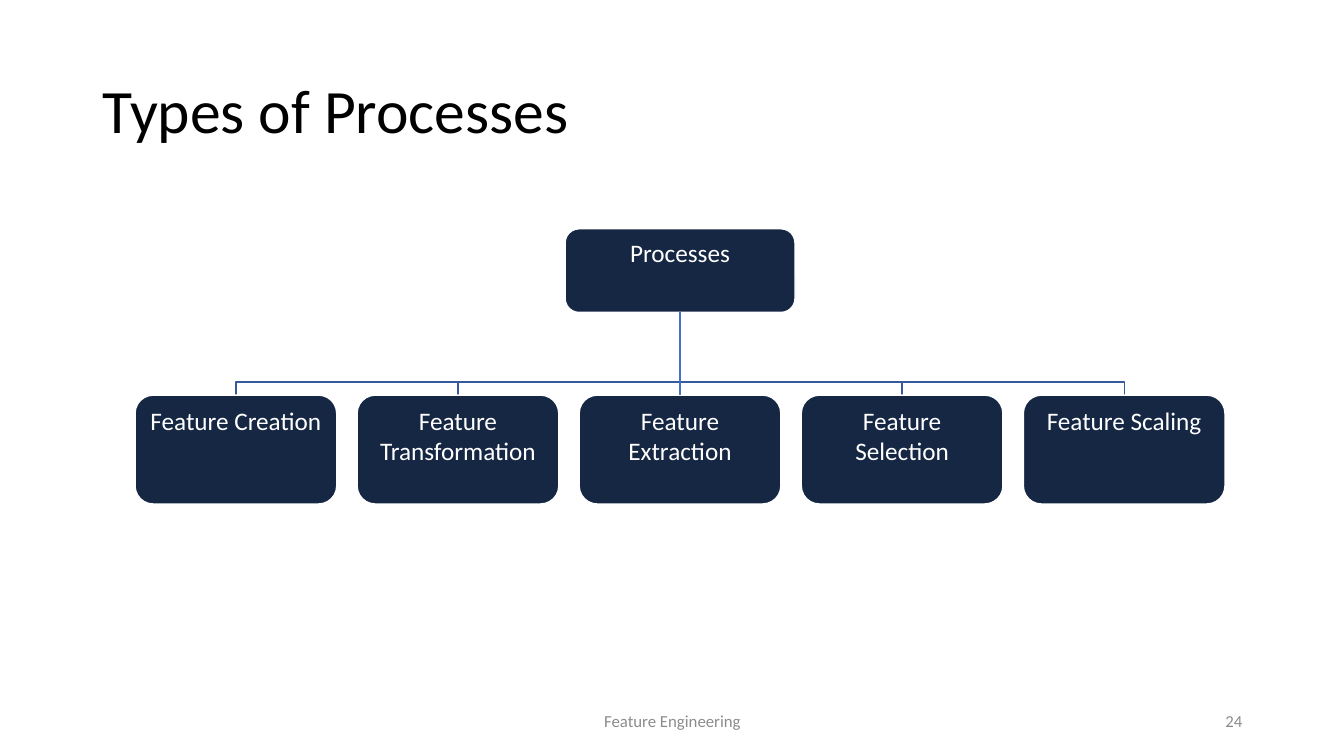
from pptx import Presentation
from pptx import util as u
from pptx.dml.color import RGBColor
from pptx.enum import shapes, text
from pptx.oxml.ns import qn

NAVY, WHITE, BLACK, GRAY = "162743", "FFFFFF", "000000", "8C8C8C"
BRANCH_BLUE, TRUNK_BLUE = "365B9D", "4472C4"
PROCESSES = ["Feature Creation", "Feature Transformation", "Feature Extraction",
             "Feature Selection", "Feature Scaling"]


def color(value):
    return RGBColor.from_string(value)


def write(shape, content, size=18, fill=WHITE, align=text.PP_ALIGN.CENTER,
          anchor=text.MSO_ANCHOR.MIDDLE, spacing=1.0):
    frame = shape.text_frame
    frame.word_wrap = True
    frame.auto_size = text.MSO_AUTO_SIZE.NONE
    frame.vertical_anchor = anchor
    paragraph = frame.paragraphs[0]
    paragraph.text = content
    paragraph.alignment = align
    paragraph.line_spacing = spacing
    paragraph.font.name = "Calibri"
    paragraph.font.size = u.Pt(size)
    paragraph.font.color.rgb = color(fill)


def set_line(shape, value):
    shape.line.color.rgb = color(value)
    shape.line.width = u.Pt(1)


def add_title(slide, left, top, width, height, content):
    title = slide.shapes.title
    title.left, title.top = u.Inches(left), u.Inches(top)
    title.width, title.height = u.Inches(width), u.Inches(height)
    write(title, content, size=44, fill=BLACK, align=text.PP_ALIGN.LEFT, spacing=0.9)


def add_node(slide, center, top, width, height, label):
    node = slide.shapes.add_shape(
        shapes.MSO_SHAPE.FLOWCHART_ALTERNATE_PROCESS,
        u.Inches(center - width / 2), u.Inches(top), u.Inches(width), u.Inches(height))
    node.shadow.inherit = False
    node.fill.solid()
    node.fill.fore_color.rgb = color(NAVY)
    set_line(node, WHITE)
    write(node, label, anchor=text.MSO_ANCHOR.TOP)
    return node


def add_branch(slide, start, end, top, bottom):
    middle = (top + bottom) / 2
    builder = slide.shapes.build_freeform(u.Inches(start), u.Inches(top))
    corners = [(start, middle), (end, middle), (end, bottom)]
    builder.add_line_segments([(u.Inches(x), u.Inches(y)) for x, y in corners], close=False)
    branch = builder.convert_to_shape()
    branch.shadow.inherit = False
    branch.fill.background()
    set_line(branch, BRANCH_BLUE)


def add_trunk(slide, parent, child):
    trunk = slide.shapes.add_connector(shapes.MSO_CONNECTOR.STRAIGHT, 0, 0, 0, 0)
    trunk.begin_connect(parent, 2)
    trunk.end_connect(child, 0)
    set_line(trunk, TRUNK_BLUE)
    properties = trunk._element.spPr
    properties.append(properties.makeelement(qn("a:effectLst"), {}))


def add_tree(slide, left, top, width, height, root_label, labels):
    node_width, node_height = 2, 1.08
    pitch = (width - node_width) / (len(labels) - 1)
    center = left + width / 2
    row_top = top + height - node_height
    centers = [left + node_width / 2 + index * pitch for index in range(len(labels))]
    middle = len(labels) // 2
    for index, end in enumerate(centers):
        if index != middle:
            add_branch(slide, center, end, row_top - 0.26, row_top)
    root = add_node(slide, center, top, 2.28, 0.83, root_label)
    nodes = [add_node(slide, end, row_top, node_width, node_height, label)
             for end, label in zip(centers, labels)]
    add_trunk(slide, root, nodes[middle])


def add_footer(slide, left, top, width, height, content, align):
    box = slide.shapes.add_textbox(u.Inches(left), u.Inches(top),
                                   u.Inches(width), u.Inches(height))
    write(box, content, size=12, fill=GRAY, align=align)


def main():
    presentation = Presentation()
    presentation.slide_width = u.Inches(13.33)
    presentation.slide_height = u.Inches(7.5)
    slide = presentation.slides.add_slide(presentation.slide_layouts[5])
    add_title(slide, 0.92, 0.4, 11.5, 1.45, "Types of Processes")
    add_tree(slide, 1.34, 2.27, 10.81, 2.73, "Processes", PROCESSES)
    add_footer(slide, 4.42, 6.95, 4.5, 0.4, "Feature Engineering", text.PP_ALIGN.CENTER)
    add_footer(slide, 9.42, 6.95, 3, 0.4, "24", text.PP_ALIGN.RIGHT)
    presentation.save("out.pptx")


if __name__ == "__main__":
    main()
